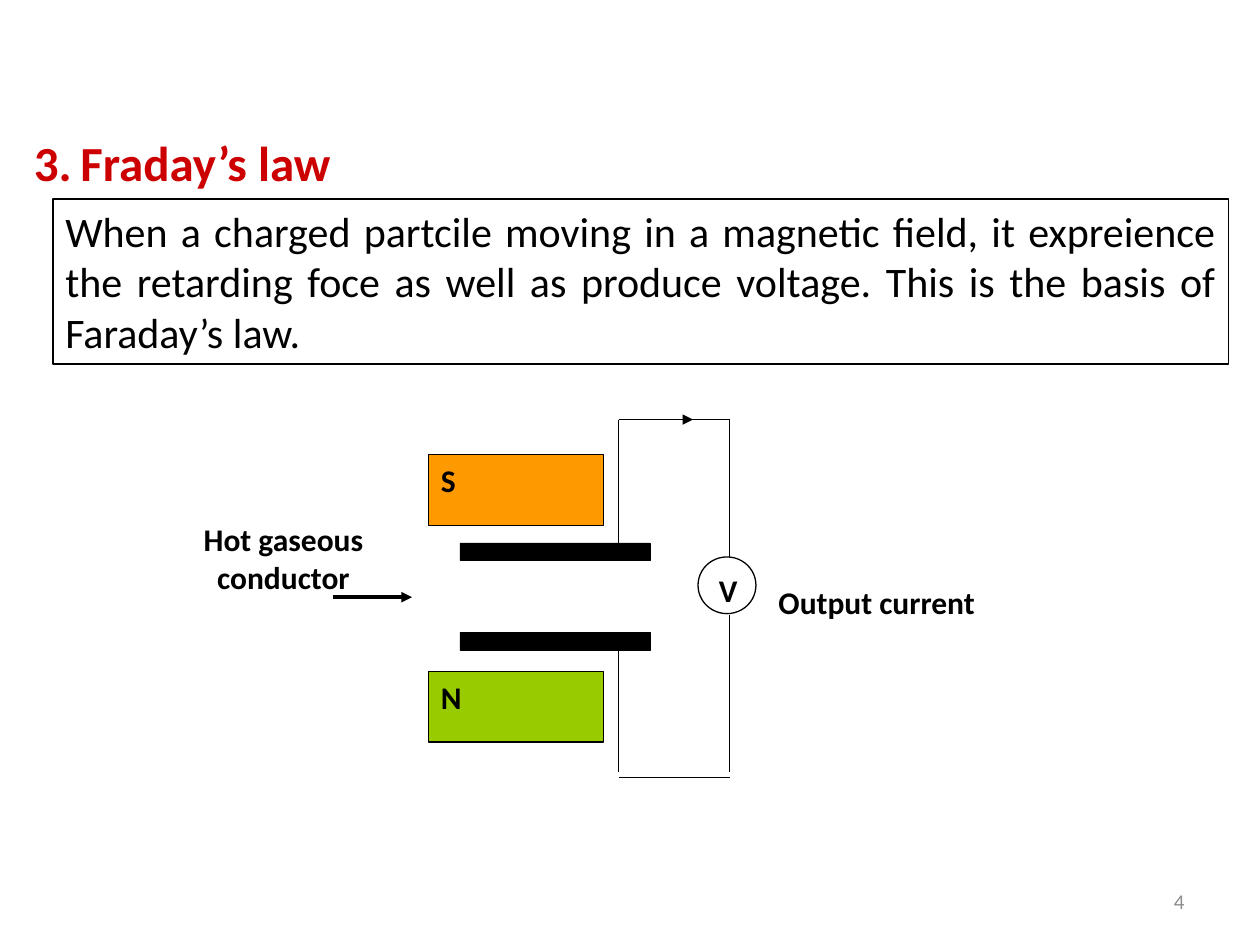
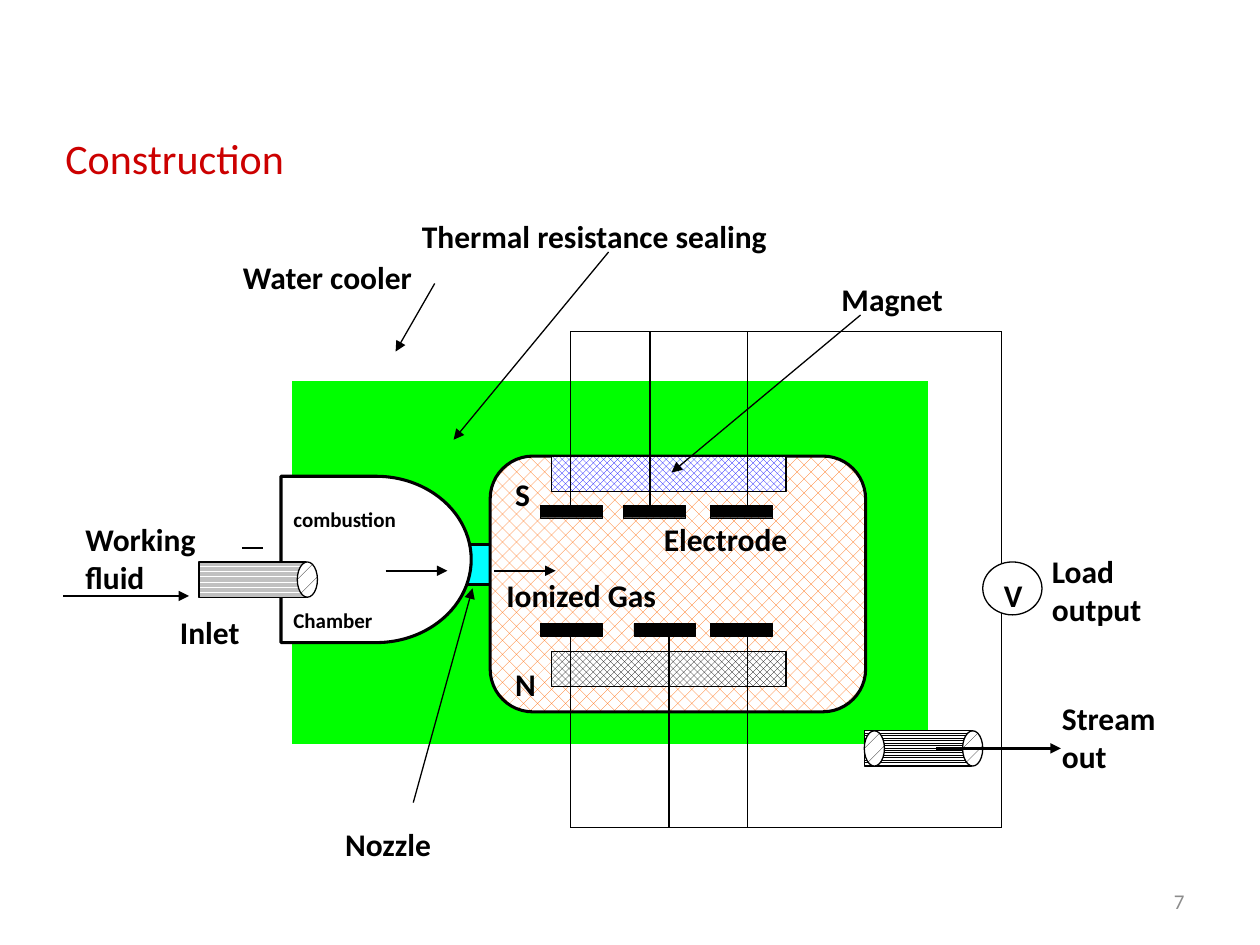
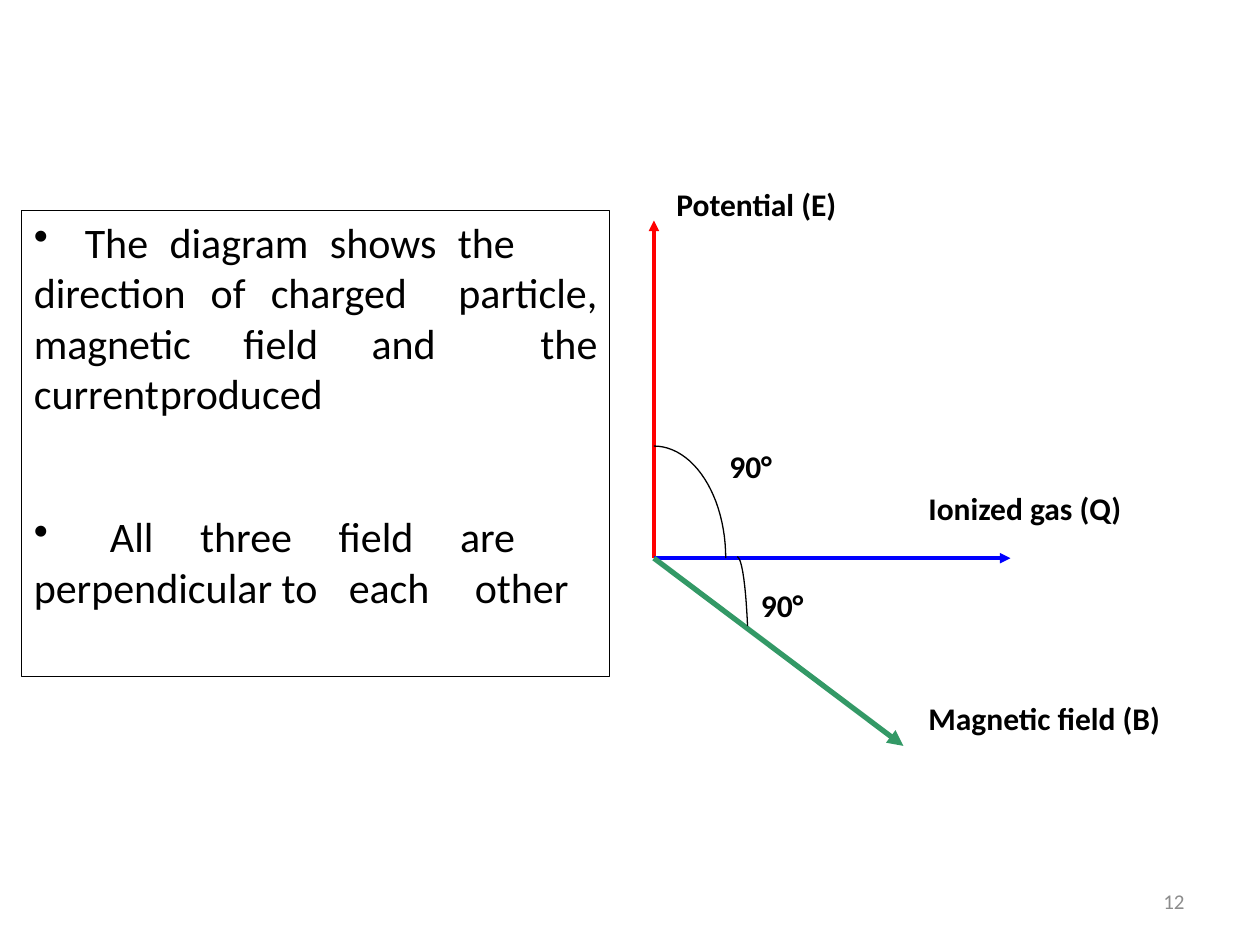
import math

import pptx
import pptx.dml.color
import pptx.enum.dml
import pptx.enum.shapes
import pptx.enum.text
import pptx.oxml
import pptx.oxml.ns
import pptx.util
from pptx.util import Inches

COLORS = {
    "ink": "000000", "paper": "FFFFFF", "heading": "CC0000", "number": "8C8C8C",
    "south": "FF9900", "north": "99CC00", "cooler": "00FF00", "nozzle": "00FFFF",
    "plasma": "FF6600", "inlet": "C0C0C0", "magnet": "0000FF",
    "potential": "FF0000", "gas": "0000FF", "field": "339966",
}
SHAPE = pptx.enum.shapes.MSO_SHAPE
PATTERN = pptx.enum.dml.MSO_PATTERN
ALIGN = pptx.enum.text.PP_ALIGN
ANCHOR = pptx.enum.text.MSO_ANCHOR
LABEL = {"size": 18, "bold": True}
BODY = {"size": 24, "align": ALIGN.JUSTIFY}


def rgb(name):
    return pptx.dml.color.RGBColor.from_string(COLORS[name])


def add_xml(parent, tag, **attributes):
    child = pptx.oxml.parse_xml(f"<a:{tag} {pptx.oxml.ns.nsdecls('a')}/>")
    for key, value in attributes.items():
        child.set(key, str(value))
    parent.append(child)
    return child


class Deck:
    """Holds the shared style and the page being drawn."""

    font = "Calibri"

    def __init__(self):
        self.deck = pptx.Presentation()
        self.deck.slide_width = Inches(10)
        self.deck.slide_height = Inches(7.5)
        self.page = None

    def new_page(self, number):
        self.page = self.deck.slides.add_slide(self.deck.slide_layouts[6])
        self.text((7.17, 6.95, 2.33, 0.4), str(number), size=12, color="number",
                  align=ALIGN.RIGHT, anchor=ANCHOR.MIDDLE)

    def fill_text(self, shape, lines, size=18, bold=False, color="ink", align=ALIGN.LEFT,
                  anchor=ANCHOR.TOP, gap=0, bullet=None, tabs=()):
        frame = shape.text_frame
        frame.word_wrap = True
        frame.vertical_anchor = anchor
        for index, line in enumerate([lines] if isinstance(lines, str) else lines):
            para = frame.add_paragraph() if index else frame.paragraphs[0]
            properties = para._p.get_or_add_pPr()
            if bullet:
                add_xml(properties, "buChar", char=bullet)
            if tabs:
                stops = add_xml(properties, "tabLst")
                for stop in tabs:
                    add_xml(stops, "tab", pos=Inches(stop), algn="l")
            para.alignment = align
            if index:
                para.space_before = pptx.util.Pt(gap)
            span = para.add_run()
            span.text = line
            formats = {"name": self.font, "size": pptx.util.Pt(size), "bold": bold}
            for key, value in formats.items():
                setattr(span.font, key, value)
            span.font.color.rgb = rgb(color)

    def text(self, place, lines, **style):
        box = self.page.shapes.add_textbox(*map(Inches, place))
        self.fill_text(box, lines, **style)

    def label(self, left, top, width, words, height=0.4, **style):
        self.text((left, top, width, height), words, **{**LABEL, **style})

    def finish(self, shape, fill, line, width, pattern=None):
        shape.shadow.inherit = False
        if pattern:
            shape.fill.patterned()
            shape.fill.pattern = pattern
            shape.fill.fore_color.rgb = rgb(fill)
            shape.fill.back_color.rgb = rgb("paper")
        elif fill:
            shape.fill.solid()
            shape.fill.fore_color.rgb = rgb(fill)
        else:
            shape.fill.background()
        shape.line.color.rgb = rgb(line)
        shape.line.width = pptx.util.Pt(width)

    def shape(self, place, fill=None, kind=SHAPE.RECTANGLE, line="ink", width=0.75,
              pattern=None, lines=None, **style):
        shape = self.page.shapes.add_shape(kind, *map(Inches, place))
        self.finish(shape, fill, line, width, pattern)
        if lines:
            self.fill_text(shape, lines, **style)
        return shape

    def line(self, start, end, color="ink", width=0.75, arrow=False):
        wire = self.page.shapes.add_connector(
            pptx.enum.shapes.MSO_CONNECTOR.STRAIGHT, *map(Inches, (*start, *end)))
        wire.line.color.rgb = rgb(color)
        wire.line.width = pptx.util.Pt(width)
        if arrow:
            add_xml(wire.line._get_or_add_ln(), "tailEnd", type="triangle")
        add_xml(wire._element.spPr, "effectLst")

    def arrow(self, start, end, **style):
        self.line(start, end, arrow=True, **style)

    def arc(self, center, radii, last_angle, steps=24):
        """Draw an elliptical arc clockwise from the top to last_angle degrees."""
        points = []
        for step in range(steps + 1):
            angle = math.radians(90 + (last_angle - 90) * step / steps)
            points.append((Inches(center[0] + radii[0] * math.cos(angle)),
                           Inches(center[1] - radii[1] * math.sin(angle))))
        builder = self.page.shapes.build_freeform(*points[0])
        builder.add_line_segments(points[1:], close=False)
        self.finish(builder.convert_to_shape(), None, "ink", 0.75)

    def voltmeter(self, place):
        self.shape(place, "paper", SHAPE.OVAL, lines="V", **LABEL)


def faraday_page(deck):
    deck.new_page(4)
    deck.text((0.17, 1, 4.42, 0.57), "3.\tFraday’s law", size=28, bold=True,
              color="heading", tabs=[0.37])
    deck.shape((0.42, 1.58, 9.33, 1.31), **BODY, lines=(
        "When a charged partcile moving in a magnetic field, it expreience the retarding "
        "foce as well as produce voltage. This is the basis of Faraday’s law."))
    for top, fill, pole in ((3.61, "south", "S"), (5.33, "north", "N")):
        deck.shape((3.4, top, 1.39, 0.56), fill, lines=pole, **LABEL)
    for top in (4.31, 5.02):
        deck.shape((3.65, top, 1.51, 0.14), "ink", width=0.25)
    deck.arrow((2.64, 4.74), (3.27, 4.74), width=2)
    left, right = 4.91, 5.79
    for x, top, bottom in ((left, 3.33, 4.31), (left, 5.16, 6.13),
                           (right, 3.33, 4.45), (right, 4.88, 6.13)):
        deck.line((x, top), (x, bottom))
    for y in (3.33, 6.17):
        deck.line((left, y), (right, y))
    deck.voltmeter((5.54, 4.42, 0.46, 0.45))
    deck.label(6.08, 4.58, 2.02, "Output current", anchor=ANCHOR.MIDDLE)
    deck.arrow((5.17, 3.33), (5.5, 3.33))
    deck.label(1.25, 4.08, 2, "Hot gaseous conductor", height=0.7, align=ALIGN.CENTER)


def pipe(deck, left, top, fill, pattern, ends):
    deck.shape((left, top, 0.85, 0.28), fill, pattern=pattern)
    for end in ends:
        deck.shape((left + end, top, 0.16, 0.28), "ink", SHAPE.OVAL,
                   pattern=PATTERN.PERCENT_5)


def construction_page(deck):
    deck.new_page(7)
    deck.text((0.42, 1, 2.25, 0.5), "Construction", size=24, color="heading")
    deck.arrow((1.92, 4.35), (2.36, 4.35), width=1)
    deck.shape((2.2, 2.91, 5.28, 3.11), "cooler", line="paper", width=16.5)
    deck.shape((3.55, 4.32, 0.49, 0.32), "nozzle", width=1.75)
    channel = deck.shape((3.89, 3.62, 2.98, 2.03), "plasma", SHAPE.ROUNDED_RECTANGLE,
                         width=1.75, pattern=PATTERN.PERCENT_25,
                         lines=["S", "N"], gap=87, **LABEL)
    channel.adjustments[0] = 0.167
    deck.shape((2.23, 3.78, 1.51, 1.32), "paper", SHAPE.FLOWCHART_DELAY, width=1.75,
               lines=["combustion", "Chamber"], size=12, bold=True, gap=43)
    for left in (3.06, 3.92):
        deck.arrow((left, 4.53), (left + 0.49, 4.53), width=1)

    for top, lefts in ((4.01, (4.29, 4.95, 5.64)), (4.95, (4.29, 5.03, 5.64))):
        for left in lefts:
            deck.shape((left, top, 0.49, 0.1), "ink", width=0.25)
    pipe(deck, 6.86, 5.8, "ink", PATTERN.LIGHT_HORIZONTAL, (0.78, 0))
    pipe(deck, 1.58, 4.46, "inlet", PATTERN.DARK_HORIZONTAL, (0.78,))
    for top, fill in ((3.62, "magnet"), (5.17, "ink")):
        deck.shape((4.38, top, 1.86, 0.28), fill, pattern=PATTERN.OUTLINED_DIAMOND)

    first, last = 4.53, 7.95
    for bus, electrode, taps in ((2.63, 4.04, (first, 5.16, 5.93)),
                                 (6.57, 5.03, (first, 5.31, 5.93))):
        deck.line((first, bus), (last, bus))
        for x in taps:
            deck.line((x, bus), (x, electrode))
    deck.line((last, 2.63), (last, 6.57))
    deck.voltmeter((7.8, 4.46, 0.47, 0.42))

    for start, end in (((3.28, 6.37), (3.75, 4.67)), ((3.45, 2.25), (3.14, 2.79)),
                       ((4.83, 2), (3.6, 3.49)), ((6.83, 2.5), (5.33, 3.75)),
                       ((0.5, 4.73), (1.5, 4.73))):
        deck.arrow(start, end)
    deck.arrow((7.43, 5.94), (8.42, 5.94), width=1.75)
    for left, top, width, words in (
            (3.92, 4.52, 1.94, "Ionized Gas"), (1.83, 2, 1.83, "Water cooler"),
            (3.25, 1.67, 3.42, "Thermal resistance sealing"),
            (6.58, 2.17, 1.25, "Magnet"), (2.64, 6.5, 1.08, "Nozzle"),
            (5.17, 4.08, 1.42, "Electrode"), (1.33, 4.82, 0.75, "Inlet")):
        deck.label(left, top, width, words)
    for left, top, width, words in (
            (0.58, 4.08, 1.25, "Working fluid"), (8.33, 5.5, 1.17, "Stream out"),
            (8.25, 4.33, 1.08, "Load output")):
        deck.label(left, top, width, words, height=0.7)


def directions_page(deck):
    deck.new_page(12)
    origin = (5.19, 4.43)
    for end, color, width in (((5.19, 1.75), "potential", 2), ((8.02, 4.43), "gas", 2),
                              ((7.17, 5.92), "field", 3)):
        deck.arrow(origin, end, color=color, width=width)
    deck.arc(origin, (0.57, 0.89), 0)
    deck.arc((5.85, 5.31), (0.09, 0.89), 22.5)
    for left, top, width, words in (
            (5.69, 3.5, 0.65, "90°"), (5.94, 4.6, 0.65, "90°"),
            (5.27, 1.42, 1.73, "Potential (E)"), (7.27, 3.83, 2.56, "Ionized gas (Q)"),
            (7.27, 5.5, 2.35, "Magnetic field (B)")):
        deck.label(left, top, width, words, anchor=ANCHOR.MIDDLE)
    deck.shape((0.17, 1.67, 4.67, 3.7), **BODY, bullet="•", tabs=[0.18, 0.31], gap=53, lines=[
        " \tThe diagram shows the \tdirection of charged \tparticle, "
        "magnetic field \tand \tthe current\tproduced",
        " \tAll three field are \tperpendicular to \teach \tother"])


def main():
    deck = Deck()
    faraday_page(deck)
    construction_page(deck)
    directions_page(deck)
    deck.deck.save("out.pptx")


if __name__ == "__main__":
    main()
